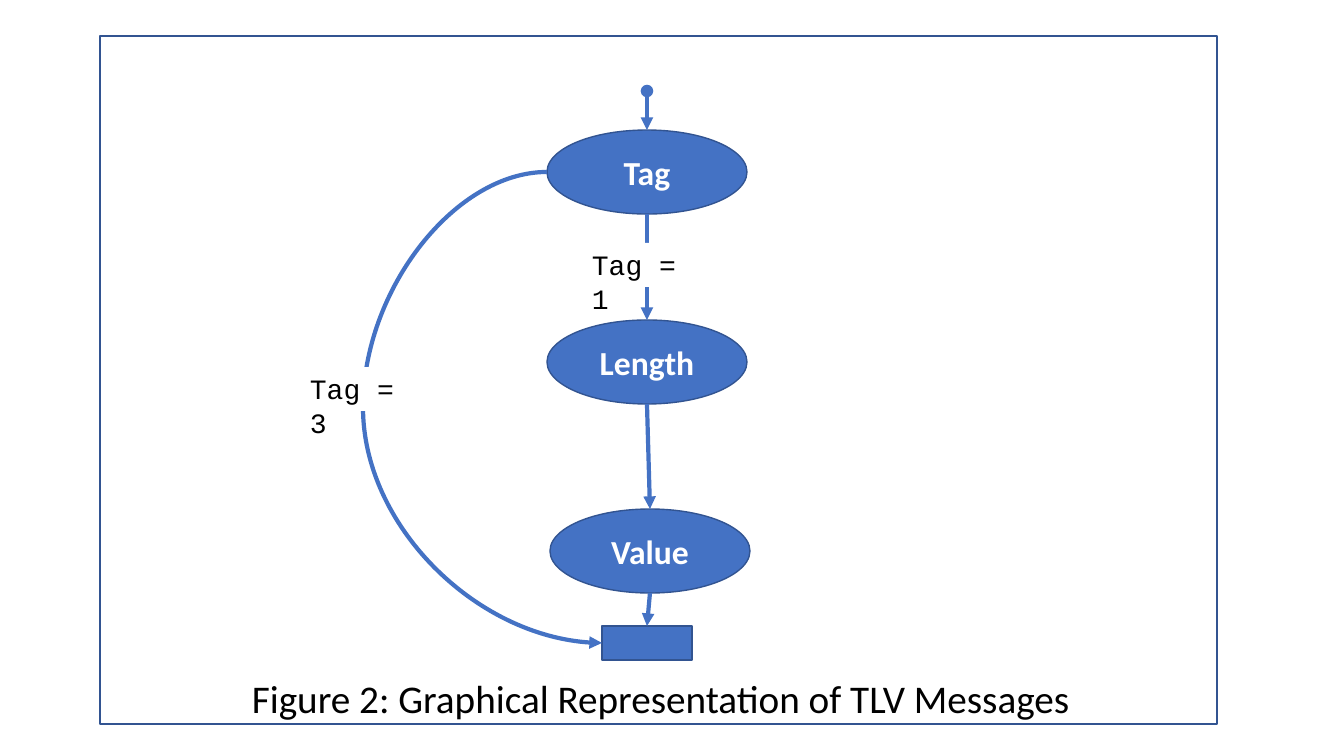
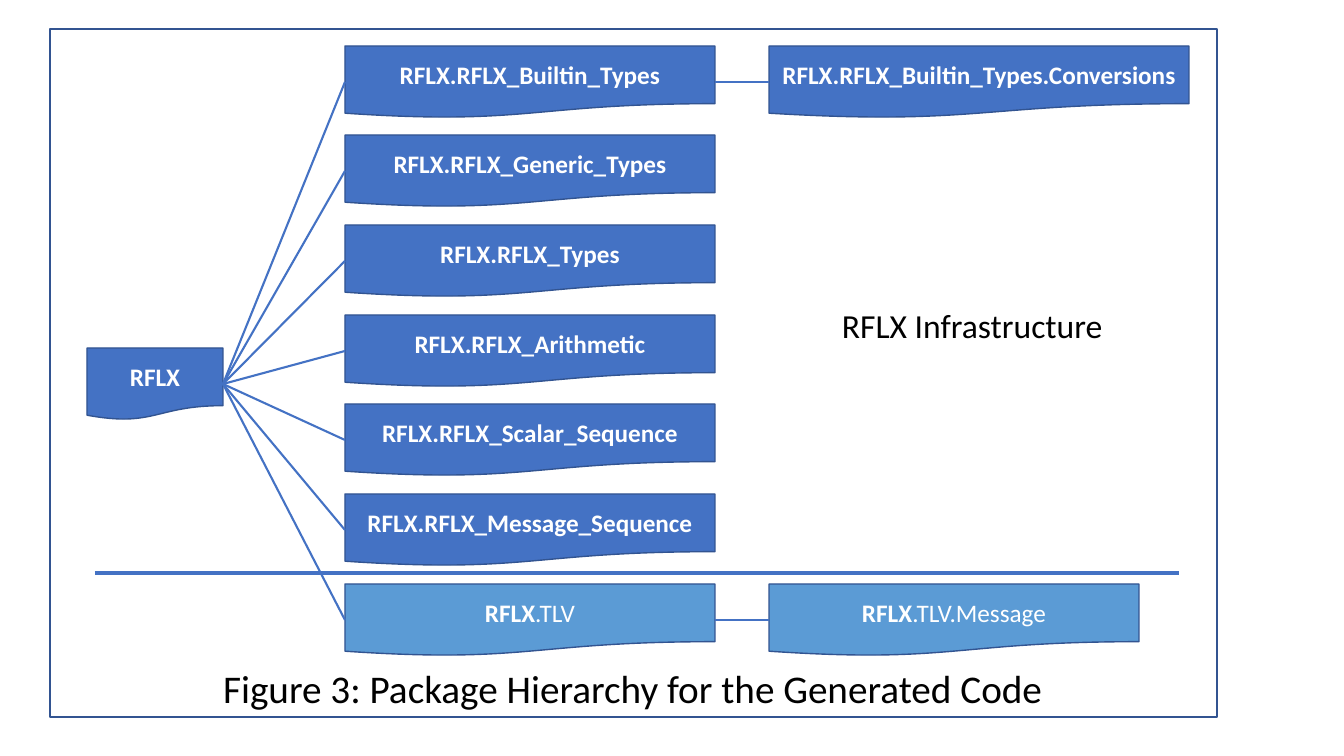
import collections

import lxml.etree
import pptx
import pptx.dml.color
import pptx.enum.shapes
import pptx.enum.text
import pptx.oxml.ns
import pptx.util

PIXEL = 914400 / 100.8
BLUE, LIGHT_BLUE, OUTLINE = "4472C4", "5B9BD5", "325491"
WHITE, BLACK = "FFFFFF", "000000"
SHAPES = pptx.enum.shapes.MSO_SHAPE
CONNECTORS = pptx.enum.shapes.MSO_CONNECTOR
ANCHORS = pptx.enum.text.MSO_ANCHOR
ALIGNMENTS = pptx.enum.text.PP_ALIGN
FIT = pptx.enum.text.MSO_AUTO_SIZE
PACKAGES = ["Builtin_Types", "Generic_Types", "Types", "Arithmetic",
            "Scalar_Sequence", "Message_Sequence"]


class Box(collections.namedtuple("Box", "left top width height")):
    """A rectangle in pixels."""

    def inside(self, left, top, width, height):
        """Return a box whose position is relative to this one."""
        return Box(self.left + left, self.top + top, width, height)

    def point(self, across, down):
        """Return the point at the given shares of width and height."""
        return self.left + self.width * across, self.top + self.height * down


def emu(values):
    """Turn pixels into EMU."""
    return [pptx.util.Emu(round(value * PIXEL)) for value in values]


def color(value):
    """Turn a hex string into a colour."""
    return pptx.dml.color.RGBColor.from_string(value)


def set_all(target, values):
    """Set attributes from a dict."""
    for name, value in values.items():
        setattr(target, name, value)


def write(shape, runs, size, ink, alignment, frame_format, font="Calibri"):
    """Write (text, bold) runs as the one paragraph of a shape."""
    set_all(shape.text_frame, frame_format)
    paragraph = shape.text_frame.paragraphs[0]
    paragraph.alignment = alignment
    for text, bold in runs:
        run = paragraph.add_run()
        run.text = text
        set_all(run.font, {"name": font, "size": pptx.util.Pt(size), "bold": bold})
        run.font.color.rgb = color(ink)


def add_block(slide, kind, box, fill=None, runs=(), size=18):
    """Add an outlined shape with centred white text."""
    shape = slide.shapes.add_shape(kind, *emu(box))
    shape.shadow.inherit = False
    if fill:
        shape.fill.solid()
        shape.fill.fore_color.rgb = color(fill)
    else:
        shape.fill.background()
    shape.line.color.rgb = color(OUTLINE)
    shape.line.width = pptx.util.Pt(1)
    if runs:
        write(shape, runs, size, WHITE, ALIGNMENTS.CENTER,
              {"vertical_anchor": ANCHORS.MIDDLE, "word_wrap": True})
    return box


def add_line(slide, begin, end, width=1.5, head=None, tail=None, bend=None):
    """Add a straight connector, or a curved one when a bend is given."""
    kind = CONNECTORS.STRAIGHT if bend is None else CONNECTORS.CURVE
    connector = slide.shapes.add_connector(kind, *emu(begin + end))
    connector.line.color.rgb = color(BLUE)
    connector.line.width = pptx.util.Pt(width)
    properties = connector._element.spPr
    if bend is not None:
        properties.prstGeom.rewrite_guides([("adj1", round(bend * 100000))])
    qualify = pptx.oxml.ns.qn
    line = properties.find(qualify("a:ln"))
    for tag, end_type in (("a:headEnd", head), ("a:tailEnd", tail)):
        if end_type:
            lxml.etree.SubElement(line, qualify(tag), type=end_type)
    lxml.etree.SubElement(properties, qualify("a:effectLst"))


def add_label(slide, box, text, size, font="Calibri", fill=None):
    """Add a short unwrapped label."""
    label = slide.shapes.add_textbox(*emu(box))
    if fill:
        label.fill.solid()
        label.fill.fore_color.rgb = color(fill)
    write(label, [(text, False)], size, BLACK, ALIGNMENTS.LEFT,
          {"word_wrap": False, "auto_size": FIT.SHAPE_TO_FIT_TEXT}, font)


def add_figure(presentation, frame, caption_box, caption):
    """Add a slide with a framed figure and its caption as the title."""
    slide = presentation.slides.add_slide(presentation.slide_layouts[5])
    title = slide.shapes.title
    set_all(title, dict(zip(("left", "top", "width", "height"), emu(caption_box))))
    write(title, [(caption, False)], 28, BLACK, ALIGNMENTS.CENTER,
          {"vertical_anchor": ANCHORS.TOP, "word_wrap": True,
           "auto_size": FIT.SHAPE_TO_FIT_TEXT})
    add_block(slide, SHAPES.RECTANGLE, frame)
    return slide


def message_slide(presentation, frame):
    """Draw the message graph inside the frame."""
    slide = add_figure(presentation, frame, frame.inside(104, 633, 913, 57),
                       "Figure 2: Graphical Representation of TLV Messages")
    tag, length, value = [
        add_block(slide, SHAPES.OVAL, frame.inside(left, top, 200, 84),
                  BLUE, [(name, True)], 24)
        for name, left, top in (("Tag", 447, 94), ("Length", 447, 284),
                                ("Value", 450, 473))]
    final = add_block(slide, SHAPES.RECTANGLE, frame.inside(502, 590, 90, 34), BLUE)
    start = frame.inside(547, 55, 0, 0)
    add_line(slide, start.point(0, 0), tag.point(0.5, 0), 3, "oval", "triangle")
    for source, target in ((tag, length), (length, value), (value, final)):
        add_line(slide, source.point(0.5, 1), target.point(0.5, 0), 3, tail="triangle")
    begin, end = tag.point(0, 0.5), final.point(0, 0.5)
    bend = (frame.left + 263 - begin[0]) / (end[0] - begin[0])
    add_line(slide, begin, end, 3, tail="triangle", bend=bend)
    for text, left, top in (("Tag = 1", 482, 207), ("Tag = 3", 200, 331)):
        add_label(slide, frame.inside(left, top, 129, 44), text, 20, "Courier New", WHITE)


def hierarchy_slide(presentation, frame):
    """Draw the package tree inside the frame."""
    slide = add_figure(presentation, frame, frame.inside(126, 630, 913, 57),
                       "Figure 3: Package Hierarchy for the Generated Code")

    def add_package(left, top, width, runs, fill=BLUE):
        """Add one package."""
        box = frame.inside(left, top, width, 72)
        return add_block(slide, SHAPES.FLOWCHART_DOCUMENT, box, fill, runs)

    tops = [17 + 538 * row // 6 for row in range(7)]
    root = add_package(37, 319, 136, [("RFLX", True)])
    children = [add_package(295, top, 370, [("RFLX.RFLX_" + name, True)])
                for name, top in zip(PACKAGES, tops)]
    children.append(add_package(295, tops[-1], 370,
                                [("RFLX", True), (".TLV", False)], LIGHT_BLUE))
    conversions = add_package(719, tops[0], 420,
                              [("RFLX.RFLX_Builtin_Types.Conversions", True)])
    message = add_package(719, tops[-1], 370,
                          [("RFLX", True), (".TLV.Message", False)], LIGHT_BLUE)
    links = [(root, child) for child in children]
    links += [(children[0], conversions), (children[-1], message)]
    for parent, child in links:
        add_line(slide, parent.point(1, 0.5), child.point(0, 0.5))
    divider = frame.inside(45, 544, 1084, 0)
    add_line(slide, divider.point(0, 0), divider.point(1, 0), 3)
    add_label(slide, frame.inside(782, 271, 289, 50), "RFLX Infrastructure", 24)


def main():
    """Build and save the presentation."""
    presentation = pptx.Presentation()
    presentation.slide_width, presentation.slide_height = emu((1344, 756))
    message_slide(presentation, Box(100, 36, 1117, 688))
    hierarchy_slide(presentation, Box(50, 29, 1167, 688))
    presentation.save("out.pptx")


main()
